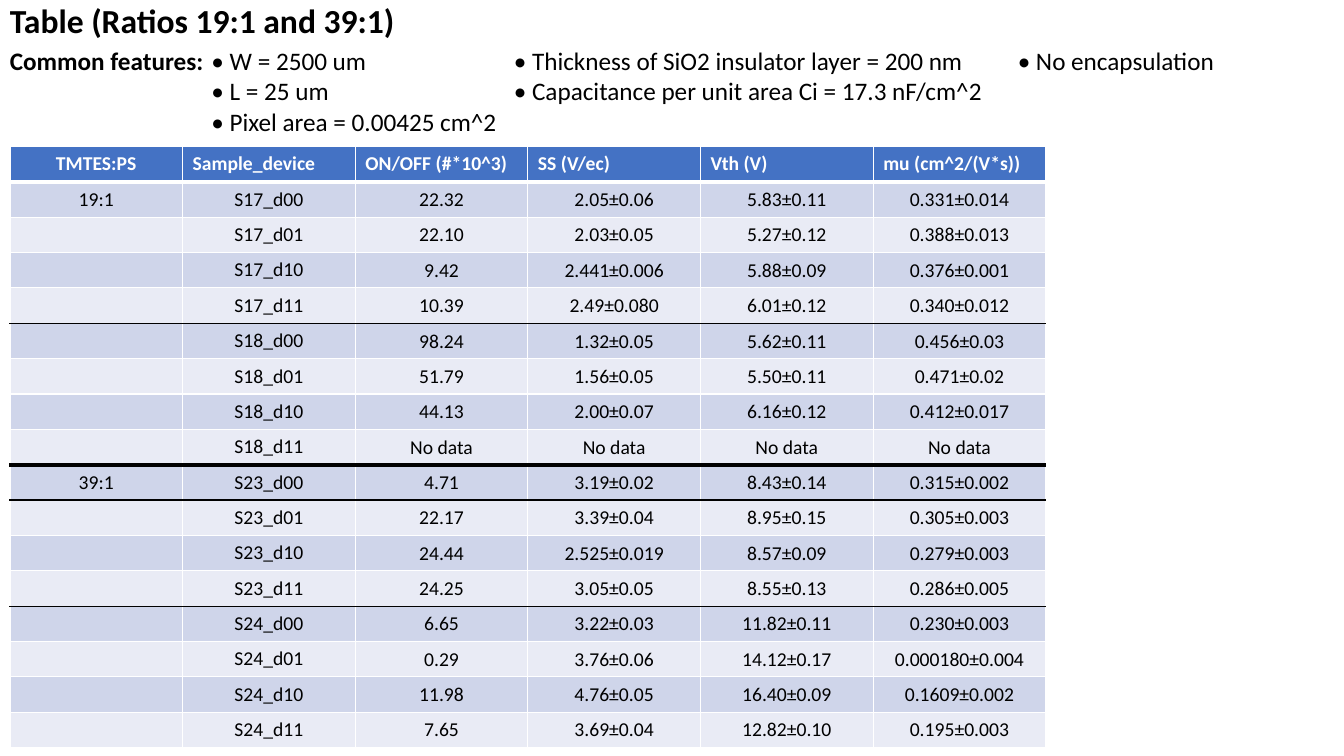
from lxml import etree
from pptx import Presentation
from pptx import util as u
from pptx.dml.color import RGBColor
from pptx.enum import text
from pptx.oxml import ns

Cm = u.Cm
FONT = "Calibri"
BLACK, WHITE = "000000", "FFFFFF"
HEADER_FILL, BAND_FILLS = "4472C4", ("CFD5EA", "E9EBF5")

HEADERS = ["TMTES:PS", "Sample_device", "ON/OFF (#*10^3)", "SS (V/ec)",
           "Vth (V)", "mu (cm^2/(V*s))"]
MEASUREMENTS = [
    ["19:1", "S17_d00", "22.32", "2.05±0.06", "5.83±0.11", "0.331±0.014"],
    ["", "S17_d01", "22.10", "2.03±0.05", "5.27±0.12", "0.388±0.013"],
    ["", "S17_d10", "9.42", "2.441±0.006", "5.88±0.09", "0.376±0.001"],
    ["", "S17_d11", "10.39", "2.49±0.080", "6.01±0.12", "0.340±0.012"],
    ["", "S18_d00", "98.24", "1.32±0.05", "5.62±0.11", "0.456±0.03"],
    ["", "S18_d01", "51.79", "1.56±0.05", "5.50±0.11", "0.471±0.02"],
    ["", "S18_d10", "44.13", "2.00±0.07", "6.16±0.12", "0.412±0.017"],
    ["", "S18_d11", "No data", "No data", "No data", "No data"],
    ["39:1", "S23_d00", "4.71", "3.19±0.02", "8.43±0.14", "0.315±0.002"],
    ["", "S23_d01", "22.17", "3.39±0.04", "8.95±0.15", "0.305±0.003"],
    ["", "S23_d10", "24.44", "2.525±0.019", "8.57±0.09", "0.279±0.003"],
    ["", "S23_d11", "24.25", "3.05±0.05", "8.55±0.13", "0.286±0.005"],
    ["", "S24_d00", "6.65", "3.22±0.03", "11.82±0.11", "0.230±0.003"],
    ["", "S24_d01", "0.29", "3.76±0.06", "14.12±0.17", "0.000180±0.004"],
    ["", "S24_d10", "11.98", "4.76±0.05", "16.40±0.09", "0.1609±0.002"],
    ["", "S24_d11", "7.65", "3.69±0.04", "12.82±0.10", "0.195±0.003"],
]
# Rule under a table row (0 is the header): colour and points
THIN_RULE = (WHITE, 1)
ROW_RULES = {0: (WHITE, 3), 4: (BLACK, 1), 8: (BLACK, 3), 9: (BLACK, 2), 12: (BLACK, 1)}

FEATURE_LINES = [
    "\t• W = 2500 um\t• Thickness of SiO2 insulator layer = 200 nm\t• No encapsulation",
    "\t• L = 25 um\t• Capacitance per unit area Ci = 17.3 nF/cm^2",
    "\t• Pixel area = 0.00425 cm^2",
]
FEATURE_TABS = (5.08, 12.7, 25.4)


def rgb(hex_code):
    return RGBColor.from_string(hex_code)


def set_font(font, size, color=BLACK, bold=None):
    font.name, font.size, font.bold = FONT, u.Pt(size), bold
    font.color.rgb = rgb(color)


def add_text_frame(slide, left, top, width, height):
    frame = slide.shapes.add_textbox(Cm(left), Cm(top), Cm(width), Cm(height)).text_frame
    frame.word_wrap = True
    return frame


def add_title(slide):
    title = add_text_frame(slide, 0, 0, 29.2, 1.1).paragraphs[0]
    title.text = "Table (Ratios 19:1 and 39:1)"
    title.line_spacing = 0.9
    set_font(title.font, 24, bold=True)


def add_tab_stops(paragraph, stops):
    tab_list = etree.SubElement(paragraph._p.get_or_add_pPr(), ns.qn("a:tabLst"))
    for stop in stops:
        etree.SubElement(tab_list, ns.qn("a:tab"), pos=str(Cm(stop)), algn="l")


def add_common_features(slide):
    frame = add_text_frame(slide, 0, 1.02, 33.63, 2.6)
    for index, line in enumerate(FEATURE_LINES):
        paragraph = frame.add_paragraph() if index else frame.paragraphs[0]
        add_tab_stops(paragraph, FEATURE_TABS)
        set_font(paragraph.font, 18)
        if index == 0:
            label = paragraph.add_run()
            label.text = "Common features:"
            label.font.bold = True
        paragraph.add_run().text = line


def add_border(cell, side, color, points):
    """Draw one cell edge; side is L, R, T or B, to be added in that order."""
    line = etree.SubElement(cell._tc.get_or_add_tcPr(), ns.qn(f"a:ln{side}"),
                            w=str(u.Pt(points)))
    fill = etree.SubElement(line, ns.qn("a:solidFill"))
    etree.SubElement(fill, ns.qn("a:srgbClr"), val=color)


def style_cell(cell, row, column):
    add_border(cell, "L", *THIN_RULE)
    add_border(cell, "R", *THIN_RULE)
    add_border(cell, "T", *ROW_RULES.get(row - 1, THIN_RULE))
    add_border(cell, "B", *ROW_RULES.get(row, THIN_RULE))
    cell.fill.solid()
    cell.fill.fore_color.rgb = rgb(BAND_FILLS[(row - 1) % 2] if row else HEADER_FILL)
    if row and column > 1:
        cell.margin_left = cell.margin_right = cell.margin_top = Cm(0.02)
        cell.margin_bottom = 0


def fill_cell(cell, value, row, column):
    paragraph = cell.text_frame.paragraphs[0]
    if row or column == 0:
        cell.vertical_anchor = text.MSO_ANCHOR.MIDDLE
        paragraph.alignment = text.PP_ALIGN.CENTER
    if value:
        paragraph.text = value
    else:
        # An empty cell would otherwise keep 18 pt and stretch its row
        etree.SubElement(paragraph._p, ns.qn("a:endParaRPr"), sz="1400")
    set_font(paragraph.font, 14, BLACK if row else WHITE, bold=row == 0)


def add_measurement_table(slide):
    rows = [HEADERS] + MEASUREMENTS
    table = slide.shapes.add_table(len(rows), len(HEADERS), Cm(0.25), Cm(3.69),
                                   Cm(26.11), Cm(15.16)).table
    for row, values in enumerate(rows):
        for column, value in enumerate(values):
            cell = table.cell(row, column)
            style_cell(cell, row, column)
            fill_cell(cell, value, row, column)


def main():
    deck = Presentation()
    deck.slide_width, deck.slide_height = Cm(33.87), Cm(19.05)
    slide = deck.slides.add_slide(deck.slide_layouts[6])
    add_title(slide)
    add_measurement_table(slide)
    add_common_features(slide)
    deck.save("out.pptx")


if __name__ == "__main__":
    main()
